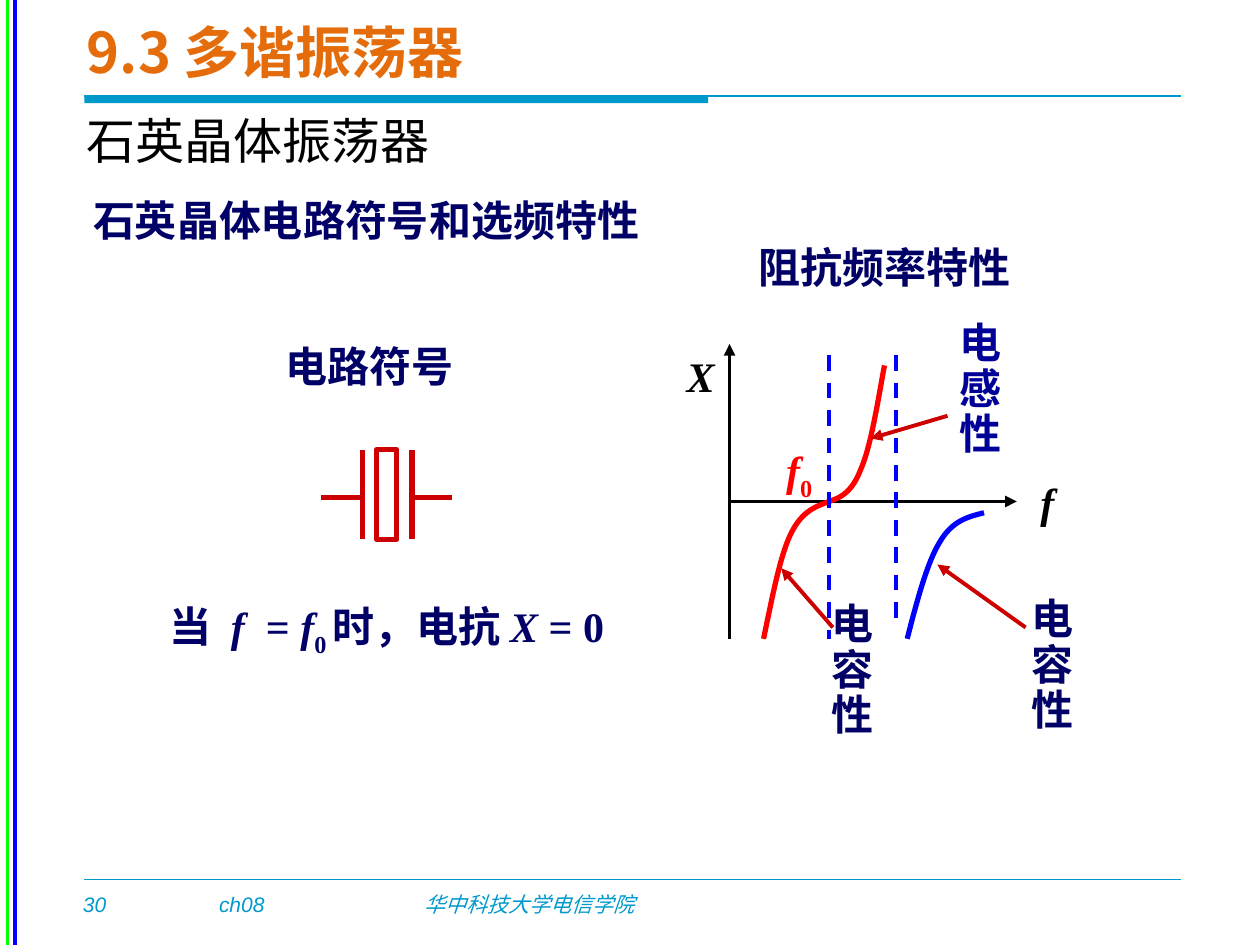
"""Build the slide on the quartz crystal oscillator."""
from pptx import Presentation
from pptx.dml.color import RGBColor
from pptx.enum.dml import MSO_LINE
from pptx.enum.shapes import MSO_CONNECTOR, MSO_SHAPE
from pptx.enum.text import MSO_ANCHOR
from pptx.oxml.ns import qn
from pptx.util import Inches, Pt
from lxml import etree

DASH = MSO_LINE.DASH
STRAIGHT = MSO_CONNECTOR.STRAIGHT
RECT = MSO_SHAPE.RECTANGLE
TOP, MIDDLE = MSO_ANCHOR.TOP, MSO_ANCHOR.MIDDLE
SANS, SERIF = "Noto Sans CJK SC", "Times New Roman"
TEAL, NAVY, RED, BLUE = "0099CC", "000066", "CC0000", "0000FF"
color = RGBColor.from_string

deck = Presentation()
deck.slide_width, deck.slide_height = Inches(10), Inches(7.5)
slide = deck.slides.add_slide(deck.slide_layouts[6])
shapes = slide.shapes


def add_line(x1, y1, x2, y2, tint, width, arrow=False, dash=None):
    """Draw a straight line, with an arrowhead at its end if asked."""
    line = shapes.add_connector(STRAIGHT, *map(Inches, (x1, y1, x2, y2)))
    line.line.color.rgb = color(tint)
    line.line.width = Pt(width)
    if dash:
        line.line.dash_style = dash
    if arrow:
        etree.SubElement(line.line._get_or_add_ln(), qn("a:tailEnd"), type="triangle")
    etree.SubElement(line._element.spPr, qn("a:effectLst"))


def add_text(box, lines, size, font, tint, bold=True, italic=False, anchor=TOP):
    """Add a text box; each line is a list of (text, italic, subscript) runs or a string."""
    shape = shapes.add_textbox(*map(Inches, box))
    frame = shape.text_frame
    frame.word_wrap = True
    frame.vertical_anchor = anchor
    for i, line in enumerate(lines):
        para = frame.add_paragraph() if i else frame.paragraphs[0]
        runs = [(line, italic, False)] if isinstance(line, str) else line
        for text, slant, sub in runs:
            run = para.add_run()
            run.text = text
            run.font.italic = slant
            if sub:
                run.font._element.set("baseline", "-25000")
        para.font.size = Pt(size)
        para.font.name = font
        para.font.bold = bold
        para.font.color.rgb = color(tint)
    return shape


# Frame lines
for x, tint in ((0.12, BLUE), (0.06, "00FF00")):
    add_line(x, 0, x, 7.5, tint, 2)
for y in (0.76, 6.98):
    add_line(0.67, y, 9.37, y, TEAL, 1)
bar = shapes.add_shape(RECT, Inches(0.67), Inches(0.76), Inches(4.95), Inches(0.06))
bar.shadow.inherit = False
bar.fill.solid()
bar.fill.fore_color.rgb = color(TEAL)
bar.line.fill.background()

for x, width, text in ((0.56, 0.41, "30"), (1.64, 0.8, "ch08"),
                       (3.27, 2.65, "华中科技大学电信学院")):
    add_text((x, 7.03, width, 0.3), [text], 12, "Arial", TEAL, False, True)

add_text((0.59, 0.05, 7.21, 0.71), ["9.3 多谐振荡器"], 32, SANS, "E46C0A", anchor=MIDDLE)
add_text((0.59, 0.83, 2.95, 0.57), ["石英晶体振荡器"], 28, SANS, "000000", False)
for box, text, font in (((2.17, 2.65, 1.62, 0.5), "电路符号", SERIF),
                        ((5.92, 1.87, 2.3, 0.5), "阻抗频率特性", SANS),
                        ((0.64, 1.4, 7.17, 0.69), "石英晶体电路符号和选频特性", "DejaVu Sans")):
    add_text(box, [text], 24, font, NAVY, anchor=MIDDLE)

add_line(5.79, 3.98, 8.07, 3.98, "000000", 2.25, True)
add_line(5.79, 5.07, 5.79, 2.73, "000000", 2.25, True)

curves = (
    ("FF0000", ((6.58, 3.98), (6.48, 4.02), (6.37, 4.05), (6.28, 4.23),
                (6.19, 4.41), (6.13, 4.74), (6.06, 5.07))),
    ("FF0000", ((6.58, 3.98), (6.67, 3.95), (6.76, 3.91), (6.83, 3.73),
                (6.91, 3.55), (6.96, 3.23), (7.02, 2.9))),
    (BLUE, ((7.81, 4.07), (7.69, 4.1), (7.56, 4.13), (7.46, 4.3),
            (7.36, 4.46), (7.28, 4.76), (7.2, 5.07))),
)
STEPS = 16
for tint, knots in curves:
    dots = []
    for start in (0, 3):
        for step in range(1, STEPS + 1):
            t = step / STEPS
            parts = ((1 - t) ** 3, 3 * t * (1 - t) ** 2, 3 * t * t * (1 - t), t ** 3)
            dots.append([Inches(sum(w * knot[axis] for w, knot in zip(parts, knots[start:])))
                         for axis in (0, 1)])
    path = shapes.build_freeform(*map(Inches, knots[0]))
    path.add_line_segments(dots, close=False)
    curve = path.convert_to_shape()
    curve.shadow.inherit = False
    curve.fill.background()
    curve.line.color.rgb = color(tint)
    curve.line.width = Pt(3)

for x, end in ((7.11, 4.98), (6.58, 5.07)):
    add_line(x, 2.82, x, end, BLUE, 2.25, dash=DASH)

add_text((8.16, 3.73, 0.54, 0.5), ["f"], 24, SERIF, "000000", italic=True)
add_text((5.35, 2.73, 0.42, 0.5), ["X"], 24, SERIF, "000000", italic=True)
add_text((6.14, 3.48, 0.54, 0.5), [[("f", True, False), ("0", False, True)]],
         24, SERIF, "FF0000")

# Crystal symbol
for x1, y1, x2, y2 in ((2.55, 3.95, 2.88, 3.95), (2.88, 4.28, 2.88, 3.57),
                       (3.27, 4.28, 3.27, 3.57), (3.27, 3.95, 3.59, 3.95)):
    add_line(x1, y1, x2, y2, RED, 3)
plate = shapes.add_shape(RECT, Inches(2.99), Inches(3.57), Inches(0.16), Inches(0.71))
plate.shadow.inherit = False
plate.fill.solid()
plate.fill.fore_color.rgb = color("FFFFFF")
plate.line.color.rgb = color(RED)
plate.line.width = Pt(3)

for x, y, text, tint in ((7.52, 2.51, "电感性", "000099"), (6.5, 4.74, "电容性", NAVY),
                         (8.09, 4.7, "电容性", NAVY)):
    label = add_text((x, y, 0.55, 1.19), list(text), 24, SERIF, tint)
    label.line.color.rgb = color("FFFFFF")
    label.line.width = Pt(0.75)
    for para in label.text_frame.paragraphs:
        para.line_spacing = 0.9
for ends in ((7.52, 3.3, 6.91, 3.48), (6.61, 4.98, 6.2, 4.51), (8.14, 4.98, 7.44, 4.48)):
    add_line(*ends, RED, 2.25, True)

add_text((1.25, 4.72, 4.02, 0.5),
         [[("当  ", False, False), ("f  ", True, False), ("= ", False, False),
           ("f", True, False), ("0 ", False, True), ("时，电抗 ", False, False),
           ("X ", True, False), ("= 0", False, False)]], 24, SERIF, NAVY)

deck.save("out.pptx")
